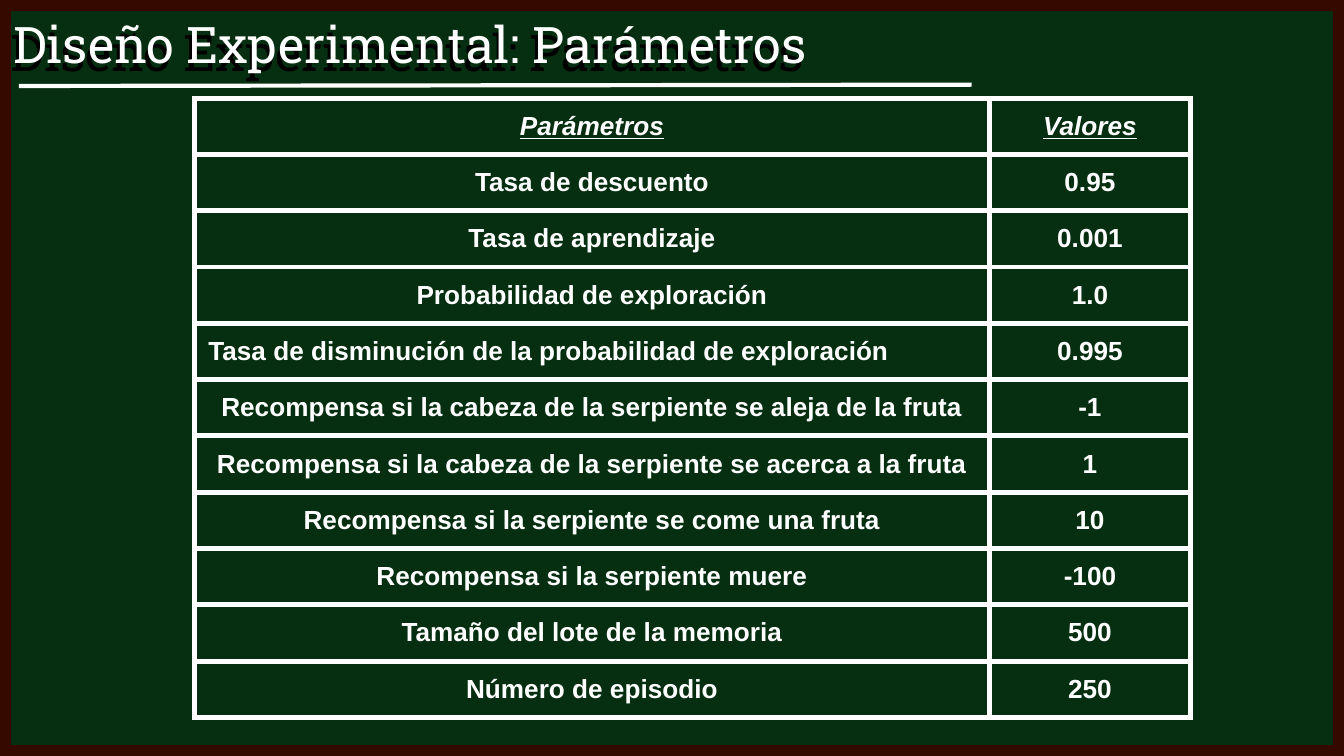
import dataclasses
import typing

import lxml.etree
import pptx
import pptx.dml.color
import pptx.enum.shapes
import pptx.enum.text
import pptx.oxml.ns
import pptx.util

Inches = pptx.util.Inches
Pt = pptx.util.Pt
RGB = pptx.dml.color.RGBColor.from_string
qn = pptx.oxml.ns.qn
ALIGN = pptx.enum.text.PP_ALIGN


@dataclasses.dataclass(frozen=True)
class Theme:
    """Colours, fonts and sizes of the slide."""
    board: str = "062F12"
    frame: str = "350900"
    chalk: str = "FFFFFF"
    shade: str = "000000"
    head: str = "Roboto Slab"
    body: str = "Arial"
    head_pt: float = 27
    body_pt: float = 14
    frame_pt: float = 12
    rule_pt: float = 2.25
    grid_pt: float = 3
    pad: float = 0.1


@dataclasses.dataclass(frozen=True)
class Row:
    """One parameter with its value."""
    name: str
    value: str
    head: bool = False
    align: typing.Any = ALIGN.CENTER


THEME = Theme()
WIDE = 10
HIGH = WIDE * 9 / 16
LEFT, TOP = 1.45, 0.73
COLS = (5.91, 1.5)
TALL = 4.6
ROWS = (
    Row("Parámetros", "Valores", head=True),
    Row("Tasa de descuento", "0.95"),
    Row("Tasa de aprendizaje", "0.001"),
    Row("Probabilidad de exploración", "1.0"),
    Row("Tasa de disminución de la probabilidad de exploración", "0.995",
        align=ALIGN.LEFT),
    Row("Recompensa si la cabeza de la serpiente se aleja de la fruta", "-1"),
    Row("Recompensa si la cabeza de la serpiente se acerca a la fruta", "1"),
    Row("Recompensa si la serpiente se come una fruta", "10"),
    Row("Recompensa si la serpiente muere", "-100"),
    Row("Tamaño del lote de la memoria", "500"),
    Row("Número de episodio", "250"),
)


def add_node(root: typing.Any, tag: str, **attrs: typing.Any) -> typing.Any:
    """Append a child element and return it."""
    return lxml.etree.SubElement(
        root, qn(tag), {key: str(val) for key, val in attrs.items()})


def set_pad(box: typing.Any) -> None:
    """Give a cell or text frame equal margins."""
    for side in ("left", "top", "right", "bottom"):
        setattr(box, f"margin_{side}", Inches(THEME.pad))


def set_font(par: typing.Any, face: str, size: float) -> None:
    """Set the face, size and chalk colour of a paragraph."""
    par.font.name = face
    par.font.size = Pt(size)
    par.font.color.rgb = RGB(THEME.chalk)


def add_frame(slide: typing.Any) -> None:
    """Draw the thick border round the slide."""
    frame = slide.shapes.add_shape(
        pptx.enum.shapes.MSO_SHAPE.RECTANGLE, 0, 0, Inches(WIDE), Inches(HIGH))
    frame.shadow.inherit = False
    frame.fill.background()
    frame.line.color.rgb = RGB(THEME.frame)
    frame.line.width = Pt(THEME.frame_pt)


def add_title(slide: typing.Any, text: str) -> None:
    """Place the title with its cast shadow, above the border."""
    title = slide.shapes.title
    slide.shapes._spTree.append(title._element)
    title.left, title.top = 0, 0
    title.width, title.height = Inches(9.32), Inches(0.63)
    box = title.text_frame
    box.text = text
    box.word_wrap = True
    box.auto_size = pptx.enum.text.MSO_AUTO_SIZE.NONE
    box.vertical_anchor = pptx.enum.text.MSO_ANCHOR.TOP
    set_pad(box)
    par = box.paragraphs[0]
    par.alignment = ALIGN.LEFT
    par.space_before = Pt(0)
    set_font(par, THEME.head, THEME.head_pt)
    title.fill.background()
    cast = add_node(add_node(title._element.spPr, "a:effectLst"),
                    "a:outerShdw", dist=Inches(0.06), dir=110 * 60000,
                    algn="bl", rotWithShape=0)
    add_node(cast, "a:srgbClr", val=THEME.shade)


def add_rule(slide: typing.Any) -> None:
    """Underline the title."""
    rule = slide.shapes.add_connector(
        pptx.enum.shapes.MSO_CONNECTOR.STRAIGHT,
        Inches(0.14), Inches(0.64), Inches(7.23), Inches(0.63))
    rule.line.color.rgb = RGB(THEME.chalk)
    rule.line.width = Pt(THEME.rule_pt)
    add_node(rule._element.spPr, "a:effectLst")


def add_edges(cell: typing.Any) -> None:
    """Draw the four borders of a cell, ahead of its fill."""
    props = cell._tc.get_or_add_tcPr()
    for spot, side in enumerate("LRTB"):
        edge = add_node(props, f"a:ln{side}", w=Pt(THEME.grid_pt))
        add_node(add_node(edge, "a:solidFill"), "a:srgbClr", val=THEME.chalk)
        props.insert(spot, edge)


def fill_cell(cell: typing.Any, text: str, align: typing.Any,
              head: bool) -> None:
    """Write and format one cell."""
    cell.text = text
    set_pad(cell)
    cell.fill.background()
    add_edges(cell)
    par = cell.text_frame.paragraphs[0]
    par.alignment = align
    set_font(par, THEME.body, THEME.body_pt)
    par.font.bold = True
    par.font.italic = par.font.underline = head


def add_grid(slide: typing.Any) -> None:
    """Build the table of parameters."""
    grid = slide.shapes.add_table(
        len(ROWS), len(COLS), Inches(LEFT), Inches(TOP),
        Inches(sum(COLS)), Inches(TALL)).table
    grid.first_row = grid.horz_banding = False
    for col, width in zip(grid.columns, COLS):
        col.width = Inches(width)
    for line, row in enumerate(ROWS):
        fill_cell(grid.cell(line, 0), row.name, row.align, row.head)
        fill_cell(grid.cell(line, 1), row.value, ALIGN.CENTER, row.head)


def main() -> None:
    """Build and save the slide."""
    deck = pptx.Presentation()
    deck.slide_width, deck.slide_height = Inches(WIDE), Inches(HIGH)
    slide = deck.slides.add_slide(deck.slide_layouts.get_by_name("Title Only"))
    slide.background.fill.solid()
    slide.background.fill.fore_color.rgb = RGB(THEME.board)
    add_frame(slide)
    add_title(slide, "Diseño Experimental: Parámetros")
    add_rule(slide)
    add_grid(slide)
    deck.save("out.pptx")


main()
